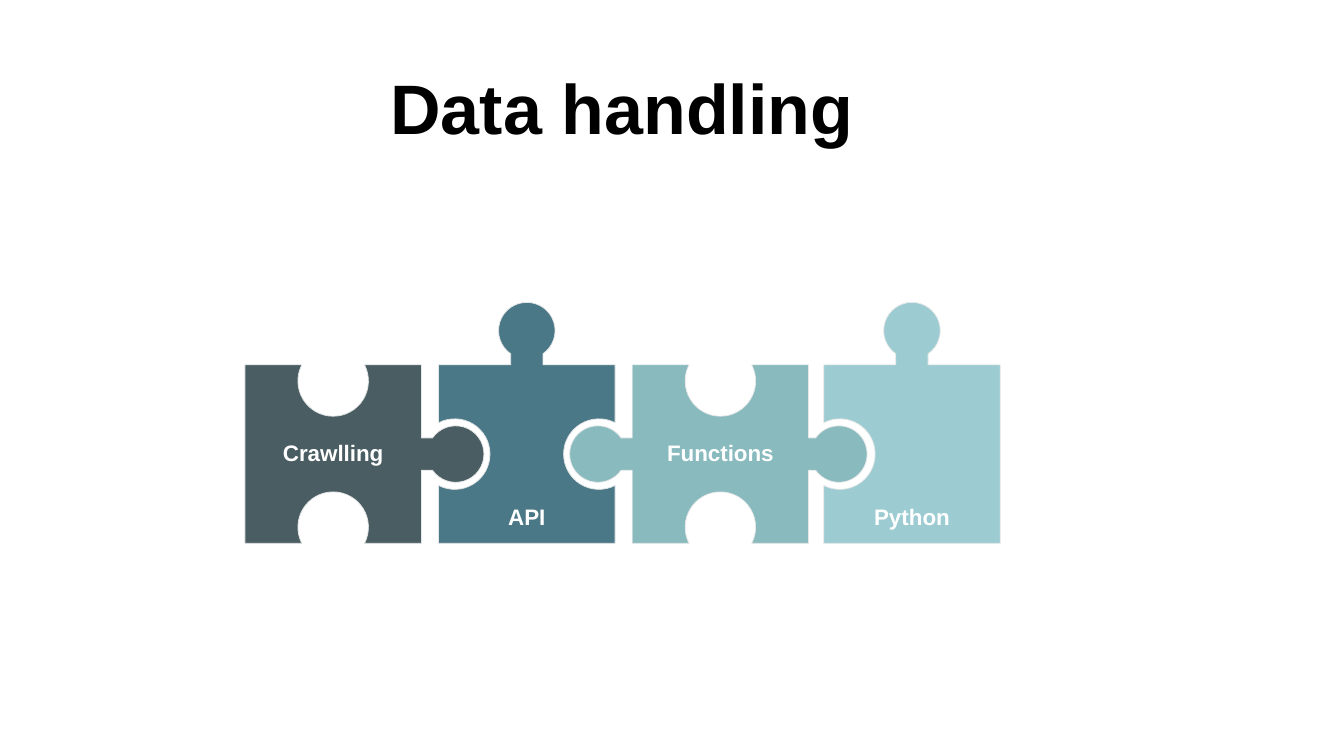
from dataclasses import dataclass
from math import acos, asin, cos, pi, sin, tan

from lxml import etree
from pptx import Presentation
from pptx.dml.color import RGBColor
from pptx.enum.text import MSO_ANCHOR, MSO_AUTO_SIZE, PP_ALIGN
from pptx.oxml.ns import qn
from pptx.util import Inches, Pt

CENTER = PP_ALIGN.CENTER
MIDDLE = MSO_ANCHOR.MIDDLE
GROW = MSO_AUTO_SIZE.SHAPE_TO_FIT_TEXT

FONT = "Arial"
TITLE_BOX = (-0.16, 0.74, 12.66, 0.79)
PIECE_TOP, PIECE_WIDTH, PIECE_HEIGHT = 3.62, 1.75, 1.77
TAB_RADIUS, NECK_HALF_WIDTH = 0.28, 0.16
SOCKET_RADIUS = 0.35
TAB, SOCKET = 0.34, -0.16
ARC_CURVES = 4
LABEL_INSET, LABEL_HEIGHT = 0.05, 0.37
HIGH_LABEL, LOW_LABEL = 0.69, 1.32
# Outward direction of each side, clockwise
SIDES = {"top": (0, -1), "right": (1, 0), "bottom": (0, 1), "left": (-1, 0)}


@dataclass
class Piece:
    """A puzzle piece; knobs give how far outside a side its circle's centre lies."""
    name: str
    left: float
    color: str
    label_drop: float
    knobs: dict


PIECES = [
    Piece("Crawlling", 2.43, "4A5D62", HIGH_LABEL,
          {"top": SOCKET, "right": TAB, "bottom": SOCKET}),
    Piece("API", 4.35, "4A7886", LOW_LABEL,
          {"top": TAB, "right": SOCKET, "left": SOCKET}),
    Piece("Functions", 6.27, "88BABE", HIGH_LABEL,
          {"top": SOCKET, "right": 0.3, "bottom": SOCKET, "left": TAB}),
    Piece("Python", 8.17, "9CCCD2", LOW_LABEL,
          {"top": TAB, "left": SOCKET}),
]


def rgb(value):
    return RGBColor.from_string(value)


def add_text(slide, box, text, size, color):
    text_box = slide.shapes.add_textbox(*(Inches(length) for length in box))
    frame = text_box.text_frame
    frame.word_wrap = True
    paragraph = frame.paragraphs[0]
    paragraph.alignment = CENTER
    run = paragraph.add_run()
    run.text = text
    run.font.name = FONT
    run.font.size = Pt(size)
    run.font.bold = True
    run.font.color.rgb = rgb(color)
    return frame


def add_title(slide, box):
    frame = add_text(slide, box, "Data handling", 50, "000000")
    frame.vertical_anchor = MIDDLE
    frame.paragraphs[0].line_spacing = 0.8


def arc_points(offset, radius, start, end):
    """Bezier points of an arc, each as (along, outward, is a control point)."""
    step = (end - start) / ARC_CURVES
    pull = 4 / 3 * tan(step / 4)

    def point(angle, shift):
        return (radius * (sin(angle) + shift * cos(angle)),
                offset - radius * (cos(angle) - shift * sin(angle)),
                shift != 0)

    points = [point(start, 0)]
    for index in range(ARC_CURVES):
        angle = start + index * step
        points += [point(angle, pull), point(angle + step, -pull), point(angle + step, 0)]
    return points


def knob_points(offset):
    """Points of a tab or socket, relative to the middle of its side."""
    if offset < 0:
        start = -acos(offset / SOCKET_RADIUS)
        return arc_points(offset, SOCKET_RADIUS, start, -start)
    start = -asin(NECK_HALF_WIDTH / TAB_RADIUS)
    arc = arc_points(offset, TAB_RADIUS, start, -2 * pi - start)
    return [(-NECK_HALF_WIDTH, 0, False), *arc, (NECK_HALF_WIDTH, 0, False)]


def piece_outline(box, knobs):
    left, top, width, height = box
    center_x, center_y = left + width / 2, top + height / 2
    outline = []
    for side, (normal_x, normal_y) in SIDES.items():
        depth, half = (width / 2, height / 2) if normal_x else (height / 2, width / 2)
        points = [(-half, 0, False)]
        if side in knobs:
            points += knob_points(knobs[side])
        for along, outward, is_control in points:
            reach = depth + outward
            outline.append((Inches(center_x + normal_x * reach - normal_y * along),
                            Inches(center_y + normal_y * reach + normal_x * along),
                            is_control))
    return outline


def bend_segments(shape, controls):
    """Turn each pair of control points and the point after it into one curve."""
    segments = list(shape.element.iter(qn("a:lnTo")))
    curve = None
    for segment, is_control in zip(segments, controls):
        if is_control and curve is None:
            curve = etree.Element(qn("a:cubicBezTo"))
            segment.addprevious(curve)
        if curve is not None:
            curve.append(segment[0])
            segment.getparent().remove(segment)
            if not is_control:
                curve = None


def add_piece(slide, box, piece):
    outline = piece_outline(box, piece.knobs)
    points = [(x, y) for x, y, _ in outline]
    builder = slide.shapes.build_freeform(*points[0])
    builder.add_line_segments(points[1:], close=True)
    shape = builder.convert_to_shape()
    bend_segments(shape, [is_control for _, _, is_control in outline[1:]])
    shape.shadow.inherit = False
    shape.fill.solid()
    shape.fill.fore_color.rgb = rgb(piece.color)
    shape.line.color.rgb = rgb("E4E6E7")
    shape.line.width = Pt(0.5)


def add_label(slide, box, piece):
    left, top, width, _ = box
    label_box = (left + LABEL_INSET, top + piece.label_drop,
                 width - 2 * LABEL_INSET, LABEL_HEIGHT)
    frame = add_text(slide, label_box, piece.name, 16, "FFFFFF")
    frame.auto_size = GROW


def add_puzzle(slide):
    boxes = [(piece.left, PIECE_TOP, PIECE_WIDTH, PIECE_HEIGHT) for piece in PIECES]
    for add_part in (add_piece, add_label):
        for box, piece in zip(boxes, PIECES):
            add_part(slide, box, piece)


def main():
    presentation = Presentation()
    presentation.slide_width = Inches(13.33)
    presentation.slide_height = Inches(7.5)
    slide = presentation.slides.add_slide(presentation.slide_layouts[6])
    add_title(slide, TITLE_BOX)
    add_puzzle(slide)
    presentation.save("out.pptx")


if __name__ == "__main__":
    main()
